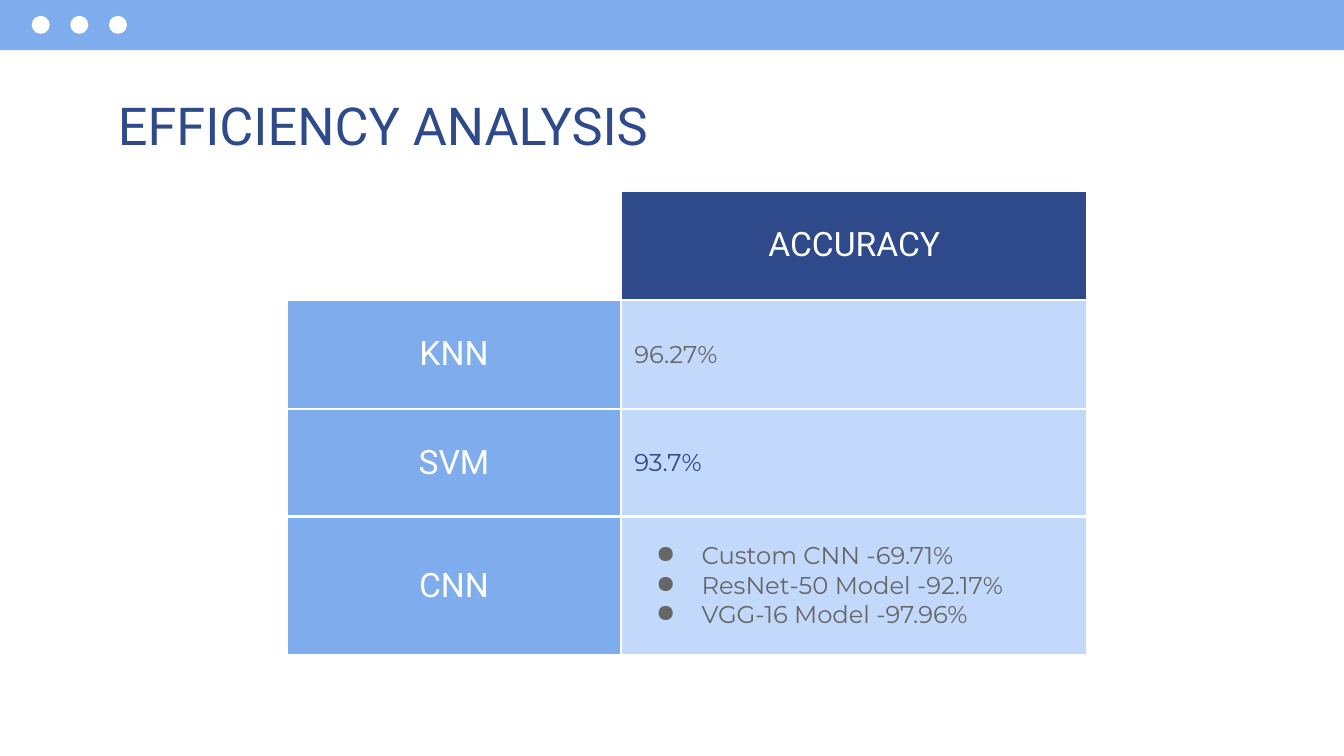
"""Build the efficiency analysis slide with its accuracy table."""
from lxml import etree
from pptx import Presentation
from pptx.dml.color import RGBColor
from pptx.enum.shapes import MSO_SHAPE
from pptx.enum.text import MSO_ANCHOR, PP_ALIGN
from pptx.oxml.ns import qn
from pptx.util import Cm, Pt

RECTANGLE, OVAL = MSO_SHAPE.RECTANGLE, MSO_SHAPE.OVAL
TOP, MIDDLE = MSO_ANCHOR.TOP, MSO_ANCHOR.MIDDLE
LEFT, CENTER = PP_ALIGN.LEFT, PP_ALIGN.CENTER
NAVY, BLUE, PALE, GREY, WHITE = "2F4A8A", "7EACEC", "C3D9FB", "666666", "FFFFFF"
INSET = Cm(0.25)

TITLE = "EFFICIENCY ANALYSIS"
HEADER = "ACCURACY"
RESULTS = [
    ("KNN", ["96.27%"], GREY),
    ("SVM", ["93.7%"], NAVY),
    ("CNN", ["Custom CNN -69.71%", "ResNet-50 Model -92.17%", "VGG-16 Model -97.96%"], GREY),
]
COLUMN_WIDTHS = [6.32, 8.81]
ROW_HEIGHTS = [2.06, 2.06, 2.03, 2.62]


def color(value):
    return RGBColor.from_string(value)


def add_plain_shape(slide, kind, left, top, width, height, fill):
    shape = slide.shapes.add_shape(kind, Cm(left), Cm(top), Cm(width), Cm(height))
    shape.shadow.inherit = False
    shape.fill.solid()
    shape.fill.fore_color.rgb = color(fill)
    shape.line.fill.background()


def add_bullet(paragraph, bullet_color):
    properties = paragraph._p.get_or_add_pPr()
    properties.set("marL", str(Cm(1.27)))
    properties.set("indent", str(Cm(-0.86)))
    bullet = etree.SubElement(properties, qn("a:buClr"))
    etree.SubElement(bullet, qn("a:srgbClr"), val=bullet_color)
    etree.SubElement(properties, qn("a:buChar"), char="●")


def write_lines(frame, lines, font, size, font_color, align):
    for index, line in enumerate(lines):
        paragraph = frame.add_paragraph() if index else frame.paragraphs[0]
        paragraph.text = line
        paragraph.alignment = align
        paragraph.font.name = font
        paragraph.font.size = Pt(size)
        paragraph.font.color.rgb = color(font_color)
        if len(lines) > 1:
            add_bullet(paragraph, font_color)


def add_borders(cell):
    properties = cell._tc.get_or_add_tcPr()
    for index, side in enumerate(("a:lnL", "a:lnR", "a:lnT", "a:lnB")):
        border = etree.Element(qn(side), w=str(Pt(1.5)))
        fill = etree.SubElement(border, qn("a:solidFill"))
        etree.SubElement(fill, qn("a:srgbClr"), val=WHITE)
        properties.insert(index, border)


def fill_cell(cell, lines, fill, font="Roboto", size=18, font_color=WHITE, align=CENTER):
    cell.vertical_anchor = MIDDLE
    cell.margin_left = cell.margin_right = cell.margin_top = cell.margin_bottom = INSET
    if fill:
        cell.fill.solid()
        cell.fill.fore_color.rgb = color(fill)
    else:
        cell.fill.background()
    write_lines(cell.text_frame, lines, font, size, font_color, align)
    add_borders(cell)


def add_title(slide):
    frame = slide.shapes.add_textbox(Cm(1.98), Cm(1.52), Cm(21.44), Cm(1.3)).text_frame
    frame.word_wrap = True
    frame.vertical_anchor = TOP
    frame.margin_left = frame.margin_right = frame.margin_top = frame.margin_bottom = INSET
    write_lines(frame, [TITLE], "Roboto", 28, NAVY, LEFT)


def add_results(slide):
    table = slide.shapes.add_table(
        len(ROW_HEIGHTS), len(COLUMN_WIDTHS), Cm(5.42), Cm(3.61),
        Cm(sum(COLUMN_WIDTHS)), Cm(sum(ROW_HEIGHTS))).table
    table.first_row = table.horz_banding = False
    for column, width in zip(table.columns, COLUMN_WIDTHS):
        column.width = Cm(width)
    for row, height in zip(table.rows, ROW_HEIGHTS):
        row.height = Cm(height)
    fill_cell(table.cell(0, 0), [], None)
    fill_cell(table.cell(0, 1), [HEADER], NAVY)
    for row, (name, values, value_color) in enumerate(RESULTS, start=1):
        fill_cell(table.cell(row, 0), [name], BLUE)
        fill_cell(table.cell(row, 1), values, PALE, "Montserrat", 13, value_color, LEFT)


def main():
    presentation = Presentation()
    presentation.slide_width, presentation.slide_height = Cm(25.4), Cm(14.29)
    slide = presentation.slides.add_slide(presentation.slide_layouts[6])
    add_plain_shape(slide, RECTANGLE, 0, 0, 25.4, 0.95, BLUE)
    for index in range(3):
        add_plain_shape(slide, OVAL, 0.6 + 0.73 * index, 0.3, 0.34, 0.34, WHITE)
    add_title(slide)
    add_results(slide)
    presentation.save("out.pptx")


if __name__ == "__main__":
    main()
